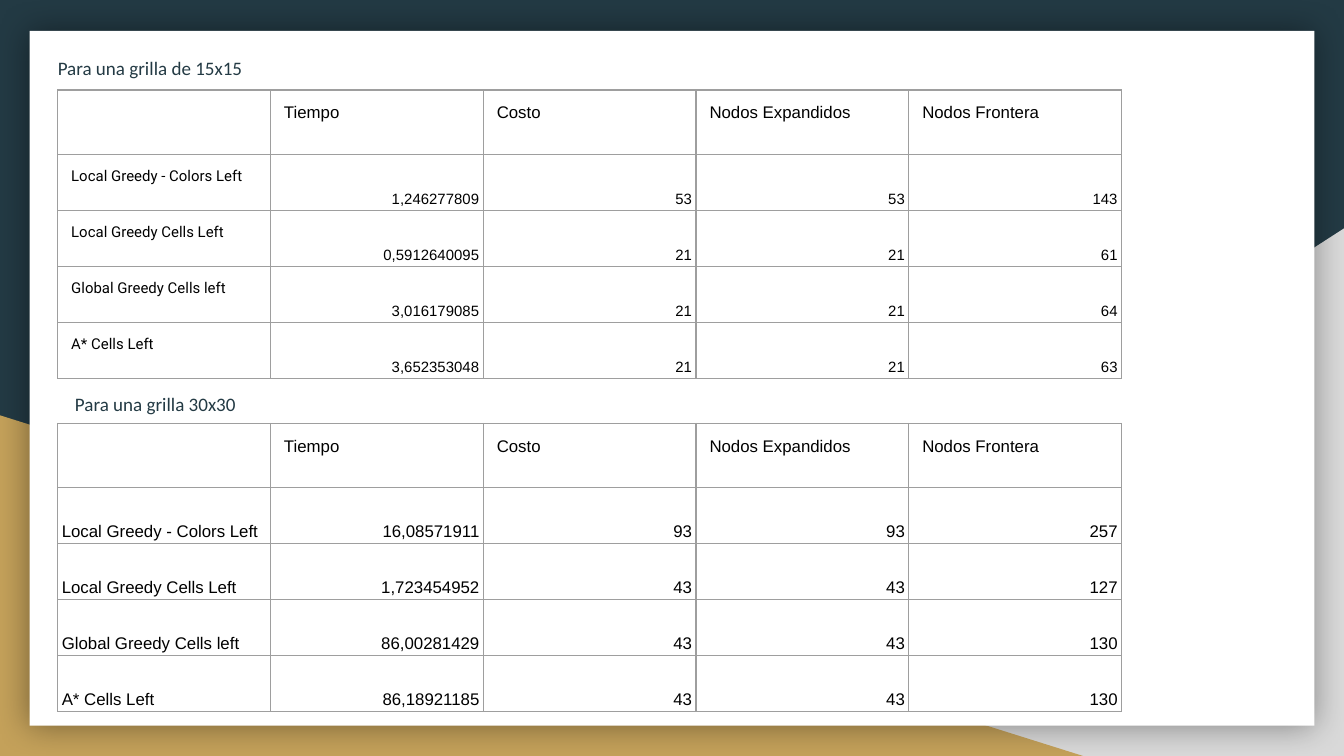
from dataclasses import dataclass

import pptx
import pptx.dml.color
import pptx.enum.shapes
import pptx.enum.text
import pptx.oxml
import pptx.oxml.ns
import pptx.util
from pptx.util import Inches

ALIGN = pptx.enum.text.PP_ALIGN
ANCHOR = pptx.enum.text.MSO_ANCHOR
SHAPE = pptx.enum.shapes.MSO_SHAPE
NAMESPACE = pptx.oxml.ns.nsdecls("a")


@dataclass(frozen=True)
class Theme:
    navy: str = "233A44"
    gray: str = "D9D9D9"
    gold: str = "C4A15A"
    white: str = "FFFFFF"
    black: str = "000000"
    border: str = "9E9E9E"
    caption_size: float = 10.2
    header_size: float = 9
    small_size: float = 8
    caption_font: str = "Calibri"
    table_font: str = "Arial"
    label_font: str = "Roboto"


THEME = Theme()
HEADERS = ["", "Tiempo", "Costo", "Nodos Expandidos", "Nodos Frontera"]
ALGORITHMS = ["Local Greedy - Colors Left", "Local Greedy Cells Left",
              "Global Greedy Cells left", "A* Cells Left"]
RESULTS_15 = [["1,246277809", "53", "53", "143"],
              ["0,5912640095", "21", "21", "61"],
              ["3,016179085", "21", "21", "64"],
              ["3,652353048", "21", "21", "63"]]
RESULTS_30 = [["16,08571911", "93", "93", "257"],
              ["1,723454952", "43", "43", "127"],
              ["86,00281429", "43", "43", "130"],
              ["86,18921185", "43", "43", "130"]]
SLIDE_WIDTH = 10
SLIDE_HEIGHT = SLIDE_WIDTH * 9 / 16
COLUMN_WIDTH = 19 / 12
HEADER_HEIGHT = 0.48
ROW_HEIGHT = 5 / 12
WIDE_INSETS = (0.1, 0.1)
TIGHT_INSETS = (0.03, 0.02)


def rgb(color):
    return pptx.dml.color.RGBColor.from_string(color)


def write_text(frame, text, *, size, font, color=THEME.black, align=ALIGN.LEFT,
               line_spacing=1.0, space_after=0):
    paragraph = frame.paragraphs[0]
    paragraph.alignment = align
    paragraph.line_spacing = line_spacing
    paragraph.space_before = pptx.util.Pt(0)
    paragraph.space_after = pptx.util.Pt(space_after)
    run = paragraph.add_run()
    run.text = text
    run.font.size = pptx.util.Pt(size)
    run.font.name = font
    run.font.color.rgb = rgb(color)
    return paragraph


def set_insets(target, insets):
    """Set the margins of a cell or text frame from (horizontal, vertical) inches."""
    horizontal, vertical = insets
    target.margin_left = target.margin_right = Inches(horizontal)
    target.margin_top = target.margin_bottom = Inches(vertical)


def add_panel(slide, kind, box, color):
    shape = slide.shapes.add_shape(kind, *map(Inches, box))
    shape.shadow.inherit = False
    shape.fill.solid()
    shape.fill.fore_color.rgb = rgb(color)
    shape.line.fill.background()
    return shape


def add_glow_shadow(shape):
    """Give the shape a soft shadow that spreads evenly on all sides."""
    effects = shape._element.spPr.find(pptx.oxml.ns.qn("a:effectLst"))
    effects.append(pptx.oxml.parse_xml(
        f'<a:outerShdw {NAMESPACE} blurRad="{pptx.util.Pt(18)}" dist="0" dir="0" '
        f'algn="ctr" rotWithShape="0"><a:srgbClr val="{THEME.black}">'
        f'<a:alpha val="40000"/></a:srgbClr></a:outerShdw>'))


def add_background(slide):
    slide.background.fill.solid()
    slide.background.fill.fore_color.rgb = rgb(THEME.navy)
    gray_left, gray_top, gold_top = 3.92, 1.7, 3.09
    triangle = add_panel(slide, SHAPE.RIGHT_TRIANGLE,
                         (gray_left, gray_top, SLIDE_WIDTH - gray_left,
                          SLIDE_HEIGHT - gray_top), THEME.gray)
    triangle._element.spPr.xfrm.set("flipH", "1")
    add_panel(slide, SHAPE.RIGHT_TRIANGLE,
              (0, gold_top, 8.06, SLIDE_HEIGHT - gold_top), THEME.gold)
    page = add_panel(slide, SHAPE.RECTANGLE, (0.22, 0.23, 9.56, 5.17), THEME.white)
    add_glow_shadow(page)


def format_caption(shape, text, box, anchor, space_after=0):
    shape.left, shape.top, shape.width, shape.height = map(Inches, box)
    frame = shape.text_frame
    frame.word_wrap = True
    frame.auto_size = pptx.enum.text.MSO_AUTO_SIZE.NONE
    frame.vertical_anchor = anchor
    set_insets(frame, WIDE_INSETS)
    paragraph = write_text(frame, text, size=THEME.caption_size, font=THEME.caption_font,
                           color=THEME.navy, line_spacing=0.95, space_after=space_after)
    properties = paragraph._p.get_or_add_pPr()
    properties.set("marL", "0")
    properties.set("indent", "0")
    properties.append(pptx.oxml.parse_xml(f"<a:buNone {NAMESPACE}/>"))


def style_cell(cell):
    for side in "LRTB":
        cell._tc.get_or_add_tcPr().append(pptx.oxml.parse_xml(
            f'<a:ln{side} {NAMESPACE} w="{pptx.util.Pt(0.75)}"><a:solidFill>'
            f'<a:srgbClr val="{THEME.border}"/></a:solidFill></a:ln{side}>'))
    cell.fill.background()


def fill_cell(cell, text, *, insets, anchor=ANCHOR.TOP, **text_format):
    set_insets(cell, insets)
    cell.vertical_anchor = anchor
    write_text(cell.text_frame, text, **text_format)


def add_results_table(slide, top, results, value_size, label_format):
    row_count, column_count = len(results) + 1, len(HEADERS)
    table = slide.shapes.add_table(
        row_count, column_count, Inches(0.43), Inches(top),
        Inches(COLUMN_WIDTH * column_count),
        Inches(HEADER_HEIGHT + ROW_HEIGHT * len(results))).table
    table.first_row = table.horz_banding = False
    for column in table.columns:
        column.width = Inches(COLUMN_WIDTH)
    for index, row in enumerate(table.rows):
        row.height = Inches(ROW_HEIGHT if index else HEADER_HEIGHT)
    for cell in table.iter_cells():
        style_cell(cell)

    for column, header in enumerate(HEADERS):
        if header:
            fill_cell(table.cell(0, column), header, insets=WIDE_INSETS,
                      size=THEME.header_size, font=THEME.table_font)
    for row, (algorithm, values) in enumerate(zip(ALGORITHMS, results), start=1):
        fill_cell(table.cell(row, 0), algorithm, **label_format)
        for column, value in enumerate(values, start=1):
            fill_cell(table.cell(row, column), value, insets=TIGHT_INSETS,
                      anchor=ANCHOR.BOTTOM, size=value_size, font=THEME.table_font,
                      align=ALIGN.RIGHT, line_spacing=1.15)


def main():
    presentation = pptx.Presentation()
    presentation.slide_width = Inches(SLIDE_WIDTH)
    presentation.slide_height = Inches(SLIDE_HEIGHT)
    slide = presentation.slides.add_slide(presentation.slide_layouts[1])
    title, body = slide.placeholders
    title._element.getparent().remove(title._element)

    add_background(slide)
    slide.shapes._spTree.append(body._element)  # bring the caption above the page
    format_caption(body, "Para una grilla de 15x15", (0.33, 0.33, 8.21, 0.38), ANCHOR.TOP)
    add_results_table(slide, 0.67, RESULTS_15, THEME.small_size,
                      dict(insets=WIDE_INSETS, size=THEME.small_size,
                           font=THEME.label_font))
    add_results_table(slide, 3.15, RESULTS_30, THEME.header_size,
                      dict(insets=TIGHT_INSETS, anchor=ANCHOR.BOTTOM,
                           size=THEME.header_size, font=THEME.table_font,
                           line_spacing=1.15))
    caption = slide.shapes.add_textbox(0, 0, 0, 0)
    format_caption(caption, "Para una grilla 30x30", (0.46, 2.83, 3.4, 0.37),
                   ANCHOR.MIDDLE, space_after=12)
    presentation.save("out.pptx")


if __name__ == "__main__":
    main()
